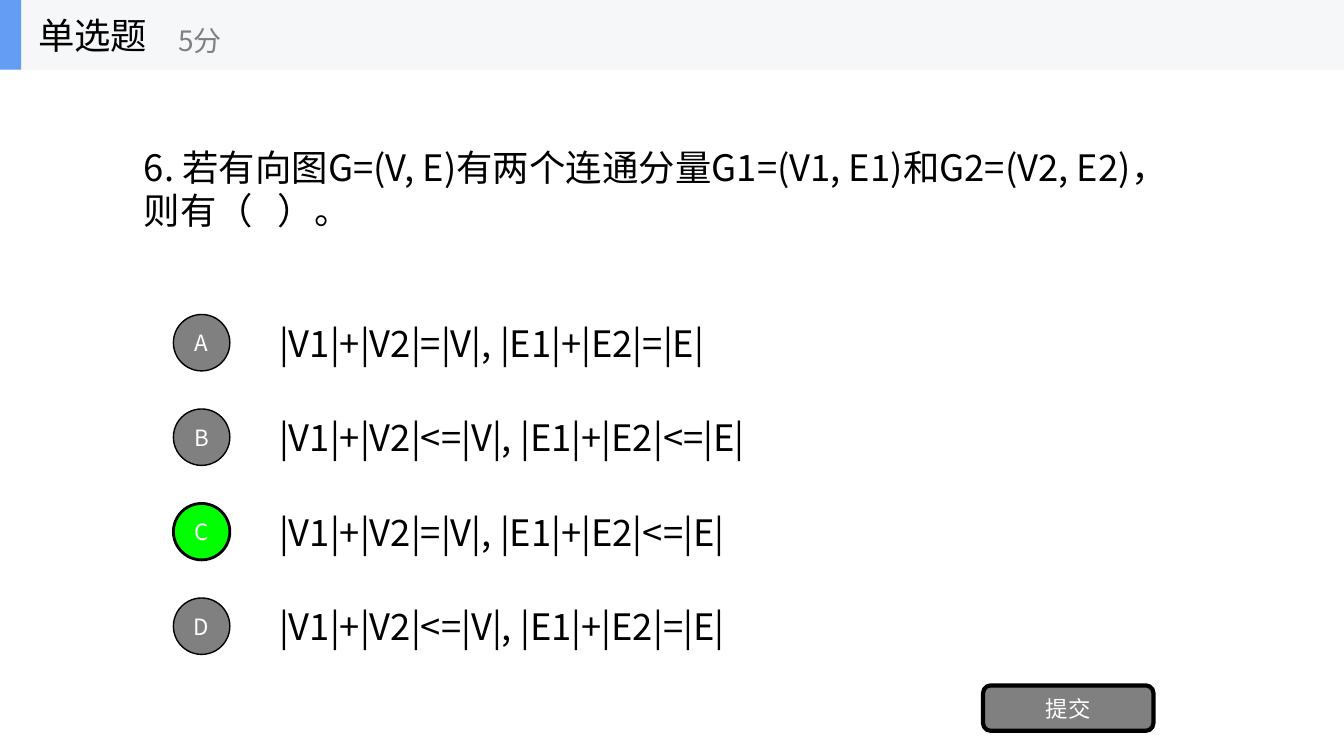
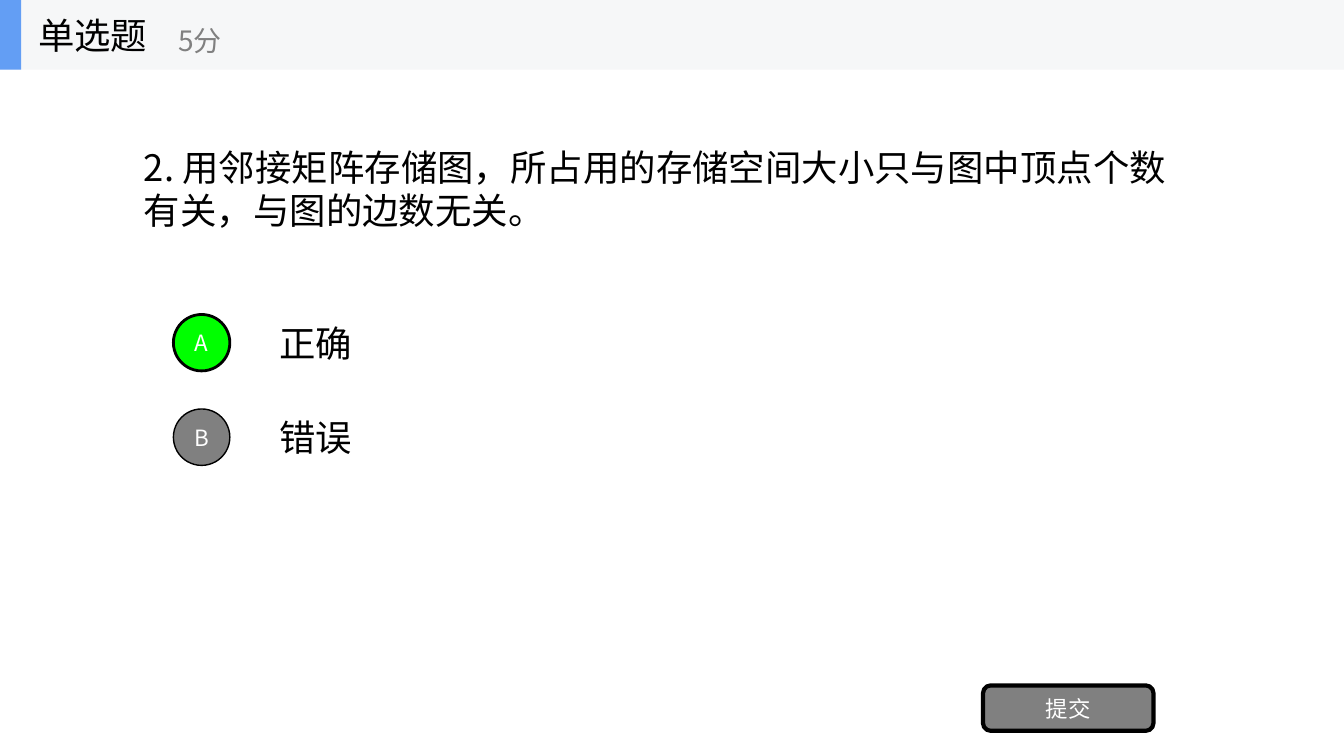
from lxml.etree import SubElement
from pptx import Presentation
from pptx.dml.color import RGBColor
from pptx.enum.shapes import MSO_SHAPE
from pptx.enum.text import MSO_ANCHOR, PP_ALIGN
from pptx.oxml.ns import qn
from pptx.util import Inches, Pt

FONT = "Noto Sans CJK SC"
BLACK, WHITE, GRAY = "000000", "FFFFFF", "808080"
BAND, ACCENT, CORRECT = "F6F7F8", "639EF4", "00FF00"
SLIDE_W, SLIDE_H = 13.33, 7.5
HEADER_H = 0.69
ROW_H, ROW_PITCH = 0.7, SLIDE_H / 8
BADGE = 0.56

QUESTIONS = [
    (
        "6. 若有向图G=(V, E)有两个连通分量G1=(V1, E1)和G2=(V2, E2)，则有（   ）。",
        [
            "|V1|+|V2|=|V|, |E1|+|E2|=|E|",
            "|V1|+|V2|<=|V|, |E1|+|E2|<=|E|",
            "|V1|+|V2|=|V|, |E1|+|E2|<=|E|",
            "|V1|+|V2|<=|V|, |E1|+|E2|=|E|",
        ],
        "C",
    ),
    (
        "2. 用邻接矩阵存储图，所占用的存储空间大小只与图中顶点个数有关，与图的边数无关。",
        ["正确", "错误"],
        "A",
    ),
]


def rgb(color):
    return RGBColor.from_string(color)


def write(shape, text, size, color, align=PP_ALIGN.LEFT):
    frame = shape.text_frame
    frame.word_wrap = True
    frame.vertical_anchor = MSO_ANCHOR.MIDDLE
    paragraph = frame.paragraphs[0]
    paragraph.text = text
    paragraph.alignment = align
    font = paragraph.font
    font.size = Pt(size)
    font.color.rgb = rgb(color)
    font.name = FONT
    # Chinese characters take their typeface from a:ea
    defaults = paragraph._p.find(".//" + qn("a:defRPr"))
    SubElement(defaults, qn("a:ea"), typeface=FONT)


def add_label(shapes, box, text, size=26, color=BLACK):
    label = shapes.add_textbox(*map(Inches, box))
    write(label, text, size, color)


def add_block(shapes, kind, box, fill, line_width=0):
    block = shapes.add_shape(kind, *map(Inches, box))
    block.shadow.inherit = False
    block.fill.solid()
    block.fill.fore_color.rgb = rgb(fill)
    if line_width:
        block.line.color.rgb = rgb(BLACK)
        block.line.width = Pt(line_width)
    else:
        block.line.fill.background()
    return block


def add_button(shapes, kind, box, text, fill, line_width):
    button = add_block(shapes, kind, box, fill, line_width)
    frame = button.text_frame
    frame.margin_left = frame.margin_right = 0
    frame.margin_top = frame.margin_bottom = 0
    write(button, text, 16, WHITE, PP_ALIGN.CENTER)


def add_header(slide, left, top, width, height):
    header = slide.shapes.add_group_shape().shapes
    add_block(header, MSO_SHAPE.RECTANGLE, (left, top, width, height), BAND)
    add_block(header, MSO_SHAPE.RECTANGLE, (left, top, 0.21, height), ACCENT)
    add_label(header, (left + 0.28, top, 2.08, height), "单选题")
    add_label(header, (left + 1.67, top + 0.12, 2.5, 0.56), "5分", 20, GRAY)


def add_options(slide, left, top, width, options, answer):
    """Stack lettered rows, highlighting the badge of the answer."""
    text_offset = 0.95
    for row, (letter, option) in enumerate(zip("ABCD", options)):
        row_top = top + row * ROW_PITCH
        add_label(slide.shapes,
                  (left + text_offset, row_top, width - text_offset, ROW_H), option)
        fill, line_width = (CORRECT, 2) if letter == answer else (GRAY, 1)
        badge_top = row_top + (ROW_H - BADGE) / 2
        add_button(slide.shapes, MSO_SHAPE.OVAL, (left, badge_top, BADGE, BADGE),
                   letter, fill, line_width)


def add_question_slide(prs, question, options, answer):
    slide = prs.slides.add_slide(prs.slide_layouts[6])
    add_label(slide.shapes, (1.33, 0.7, 10.67, 2.34), question)
    add_options(slide, 1.72, 3.05, 10.28, options, answer)
    add_button(slide.shapes, MSO_SHAPE.ROUNDED_RECTANGLE,
               (9.75, 6.8, 1.69, 0.45), "提交", GRAY, 3)
    add_header(slide, 0, 0, SLIDE_W, HEADER_H)


def main():
    prs = Presentation()
    prs.slide_width, prs.slide_height = Inches(SLIDE_W), Inches(SLIDE_H)
    for question, options, answer in QUESTIONS:
        add_question_slide(prs, question, options, answer)
    prs.save("out.pptx")


if __name__ == "__main__":
    main()
